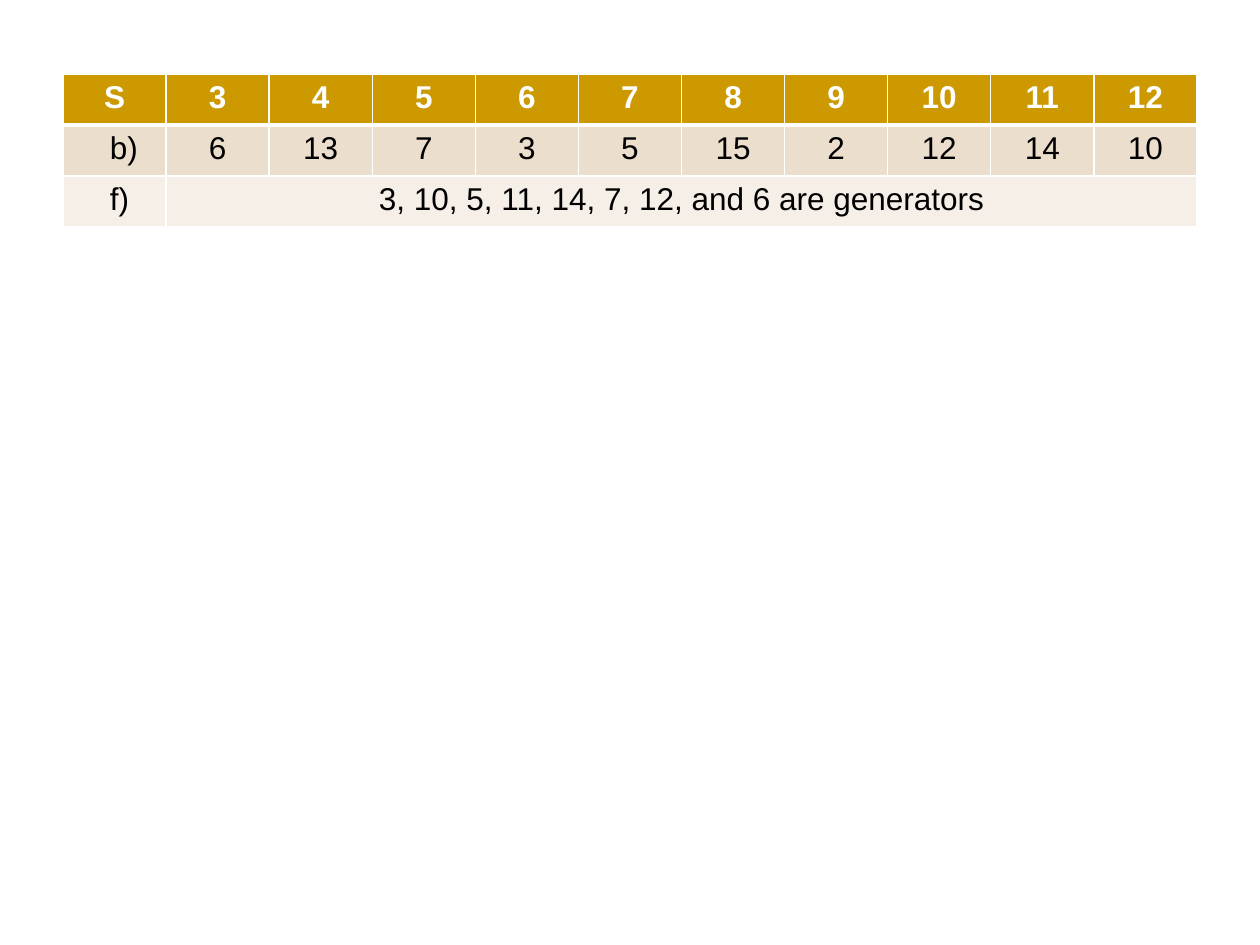
from lxml.etree import SubElement
from pptx import Presentation
from pptx.dml.color import RGBColor
from pptx.enum.text import PP_ALIGN as Align
from pptx.oxml.ns import qn
from pptx.util import Pt

PX = 914400 / 126
COLORS = {
    "header": "CC9900",
    "odd_row": "ECDECC",
    "even_row": "F6EFE7",
    "border": "FFFFFF",
    "header_text": "FFFFFF",
    "text": "000000",
}
HEADER = ["S", *(str(number) for number in range(3, 13))]
POWERS = ["b)", "6", "13", "7", "3", "5", "15", "2", "12", "14", "10"]
GENERATORS = ["f)", "3, 10, 5, 11, 14, 7, 12, and 6 are generators"]
LABEL_INDENT = 47


def px(length):
    return round(length * PX)


def write_text(cell, text, color="text", bold=False, align=Align.CENTER):
    para = cell.text_frame.paragraphs[0]
    para.alignment = align
    span = para.add_run()
    span.text = text
    span.font.name = "Arial"
    span.font.size = Pt(18)
    span.font.bold = bold
    span.font.color.rgb = RGBColor.from_string(COLORS[color])


def set_borders(cell, top=1, bottom=1):
    """Draw the four cell edges, with widths in points."""
    properties = cell._tc.get_or_add_tcPr()
    for edge, width in {"lnL": 1, "lnR": 1, "lnT": top, "lnB": bottom}.items():
        line = SubElement(properties, qn(f"a:{edge}"), w=str(Pt(width)))
        fill = SubElement(line, qn("a:solidFill"))
        SubElement(fill, qn("a:srgbClr"), val=COLORS["border"])


def add_generator_table(page, left, top, width, height):
    rows = [HEADER, POWERS, GENERATORS]
    fills = ["header", "odd_row", "even_row"]
    frame = page.shapes.add_table(
        len(rows), len(HEADER), px(left), px(top), px(width), px(height))
    table = frame.table
    for column in table.columns:
        column.width = px(width / len(HEADER))
    for row in table.rows:
        row.height = px(height / len(rows))

    for row_index, fill in enumerate(fills):
        for column_index in range(len(HEADER)):
            cell = table.cell(row_index, column_index)
            set_borders(cell, top=3 if row_index == 1 else 1,
                        bottom=3 if row_index == 0 else 1)
            cell.fill.solid()
            cell.fill.fore_color.rgb = RGBColor.from_string(COLORS[fill])
    table.cell(2, 1).merge(table.cell(2, len(HEADER) - 1))

    for row_index, texts in enumerate(rows):
        for column_index, text in enumerate(texts):
            cell = table.cell(row_index, column_index)
            if row_index == 0:
                write_text(cell, text, color="header_text", bold=True)
            elif column_index == 0:
                cell.margin_left = px(LABEL_INDENT)
                cell.margin_right = 0
                write_text(cell, text, align=Align.LEFT)
            else:
                write_text(cell, text)


def main():
    deck = Presentation()
    deck.slide_width, deck.slide_height = px(1260), px(945)
    page = deck.slides.add_slide(deck.slide_layouts[6])
    add_generator_table(page, left=63, top=74, width=1134, height=153)
    deck.save("out.pptx")


if __name__ == "__main__":
    main()
